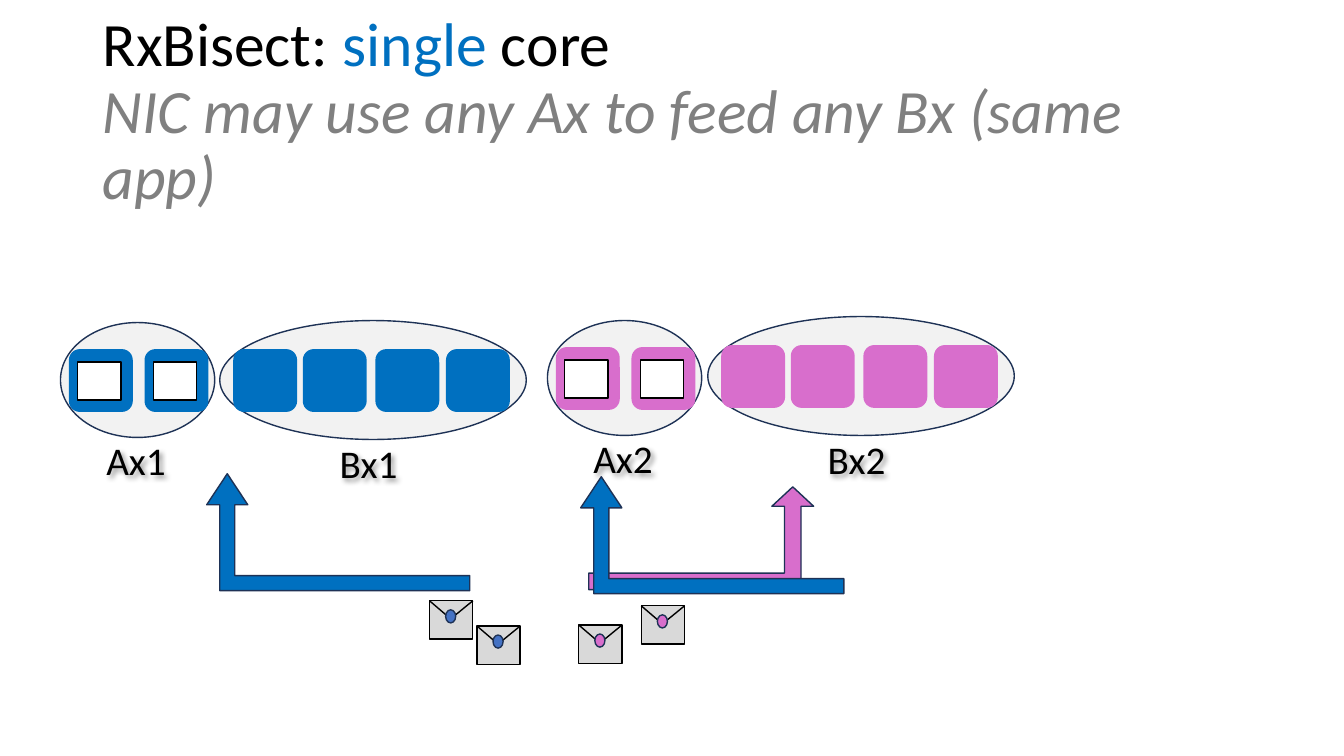
"""Build the RxBisect single core slide."""
from lxml.etree import SubElement
from pptx import Presentation
from pptx.dml.color import RGBColor
from pptx.enum.shapes import MSO_CONNECTOR, MSO_SHAPE
from pptx.enum.text import MSO_ANCHOR, PP_ALIGN
from pptx.oxml.ns import qn
from pptx.util import Inches, Pt

BLUE = RGBColor(0x00, 0x70, 0xC0)
PINK = RGBColor(0xD8, 0x6E, 0xCC)
SEAL_BLUE = RGBColor(0x44, 0x72, 0xC4)
NAVY = RGBColor(0x1E, 0x32, 0x56)
BLACK = RGBColor(0x00, 0x00, 0x00)
WHITE = RGBColor(0xFF, 0xFF, 0xFF)
PALE = RGBColor(0xF2, 0xF2, 0xF2)
SILVER = RGBColor(0xD9, 0xD9, 0xD9)
GRAY = RGBColor(0x80, 0x80, 0x80)

SQUARE = (0.62, 0.61)
CARD = (0.43, 0.38)
A_RING = {"size": (1.53, 1.14), "first": 0.09, "steps": (0, 0.75),
          "drop": 0.27, "label": (0.3, 1.0, 0.9)}
B_RING = {"size": (3.04, 1.18), "first": 0.14, "steps": (0, 0.69, 1.41, 2.11),
          "drop": 0.29, "label": (1.04, 1.05, 0.87)}
BLUE_ARROW = {"size": (2.61, 1.16), "adj": (0.128, 0.176, 0.266), "flip": True}
PINK_ARROW = {"size": (2.23, 1.02), "adj": (0.161, 0.203, 0.189), "flip": False}


def add_shape(shapes, kind, left, top, size, fill, line):
    """Add a filled and outlined preset shape without a shadow."""
    sp = shapes.add_shape(kind, Inches(left), Inches(top),
                          Inches(size[0]), Inches(size[1]))
    sp.shadow.inherit = False
    sp.fill.solid()
    sp.fill.fore_color.rgb = fill
    sp.line.color.rgb = line
    sp.line.width = Pt(1)
    return sp


def add_run(p, text, color, **fmt):
    """Add a run with the given colour and font values."""
    r = p.add_run()
    r.text = text
    r.font.color.rgb = color
    for name, value in {"name": "Calibri", **fmt}.items():
        setattr(r.font, name, value)


def add_title(s):
    """Add the two-part title."""
    tf = s.shapes.add_textbox(Inches(0.92), Inches(0.4),
                              Inches(11.5), Inches(1.45)).text_frame
    tf.word_wrap = True
    tf.vertical_anchor = MSO_ANCHOR.MIDDLE
    p = tf.paragraphs[0]
    p.line_spacing = 0.9
    size = Pt(44)
    add_run(p, "RxBisect: ", BLACK, size=size)
    add_run(p, "single", BLUE, size=size)
    add_run(p, " core", BLACK, size=size)
    p.add_line_break()
    add_run(p, "NIC may use any Ax to feed any Bx (same app)", GRAY,
            size=size, italic=True)


def add_label(s, text, left, top, width):
    """Add a ring name with a soft shadow."""
    sp = s.shapes.add_shape(MSO_SHAPE.OVAL, Inches(left), Inches(top),
                            Inches(width), Inches(0.72))
    sp.fill.background()
    sp.line.fill.background()
    sp.shadow.inherit = False
    effects = sp._element.spPr.find(qn("a:effectLst"))
    shadow = SubElement(effects, qn("a:outerShdw"), blurRad="50800",
                        dist="38100", dir="2700000", algn="tl")
    color = SubElement(shadow, qn("a:prstClr"), val="black")
    SubElement(color, qn("a:alpha"), val="40000")
    tf = sp.text_frame
    for name, value in {"word_wrap": False, "margin_left": 0, "margin_right": 0,
                        "vertical_anchor": MSO_ANCHOR.MIDDLE}.items():
        setattr(tf, name, value)
    p = tf.paragraphs[0]
    p.alignment = PP_ALIGN.CENTER
    add_run(p, text, BLACK, size=Pt(28))


def add_ring(s, name, left, top, color, ring, framed=False):
    """Add an ellipse holding a row of buffers, with its name below."""
    add_shape(s.shapes, MSO_SHAPE.OVAL, left, top, ring["size"], PALE, NAVY)
    y = top + ring["drop"]
    for step in ring["steps"]:
        x = left + ring["first"] + step
        add_shape(s.shapes, MSO_SHAPE.ROUNDED_RECTANGLE, x, y, SQUARE, color, color)
        if framed:
            add_shape(s.shapes, MSO_SHAPE.RECTANGLE, x + 0.08, y + 0.12,
                      CARD, WHITE, BLACK)
    dx, dy, width = ring["label"]
    add_label(s, name, left + dx, top + dy, width)


def add_arrow(s, left, top, color, arrow):
    """Add a bent arrow pointing up."""
    sp = add_shape(s.shapes, MSO_SHAPE.BENT_UP_ARROW, left, top,
                   arrow["size"], color, NAVY)
    for i, value in enumerate(arrow["adj"]):
        sp.adjustments[i] = value
    if arrow["flip"]:
        sp._element.spPr.get_or_add_xfrm().set("flipH", "1")


def add_envelope(s, left, top, seal):
    """Add a grouped envelope with a coloured seal."""
    shapes = s.shapes.add_group_shape().shapes
    add_shape(shapes, MSO_SHAPE.RECTANGLE, left, top, CARD, SILVER, BLACK)
    flap = [(left, top), (left + 0.21, top + 0.18), (left + 0.43, top)]
    for (x1, y1), (x2, y2) in zip(flap, flap[1:]):
        line = shapes.add_connector(MSO_CONNECTOR.STRAIGHT, Inches(x1), Inches(y1),
                                    Inches(x2), Inches(y2))
        line.line.color.rgb = BLACK
        line.line.width = Pt(1)
        SubElement(line._element.spPr, qn("a:effectLst"))
    add_shape(shapes, MSO_SHAPE.OVAL, left + 0.16, top + 0.09, (0.1, 0.13), seal, NAVY)


def main():
    """Build and save the slide."""
    prs = Presentation()
    prs.slide_width, prs.slide_height = Inches(13.33), Inches(7.5)
    s = prs.slides.add_slide(prs.slide_layouts[6])
    add_title(s)
    add_ring(s, "Bx1", 2.18, 3.18, BLUE, B_RING)
    add_ring(s, "Ax1", 0.6, 3.2, BLUE, A_RING, framed=True)
    add_ring(s, "Bx2", 7.02, 3.14, PINK, B_RING)
    add_ring(s, "Ax2", 5.43, 3.18, PINK, A_RING, framed=True)
    add_arrow(s, 2.05, 4.7, BLUE, BLUE_ARROW)
    add_arrow(s, 5.84, 4.83, PINK, PINK_ARROW)
    add_arrow(s, 5.76, 4.73, BLUE, BLUE_ARROW)
    for left, top, seal in ((4.73, 6.21, SEAL_BLUE), (4.26, 5.96, SEAL_BLUE),
                            (6.36, 6.01, PINK), (5.74, 6.2, PINK)):
        add_envelope(s, left, top, seal)
    prs.save("out.pptx")


if __name__ == "__main__":
    main()
